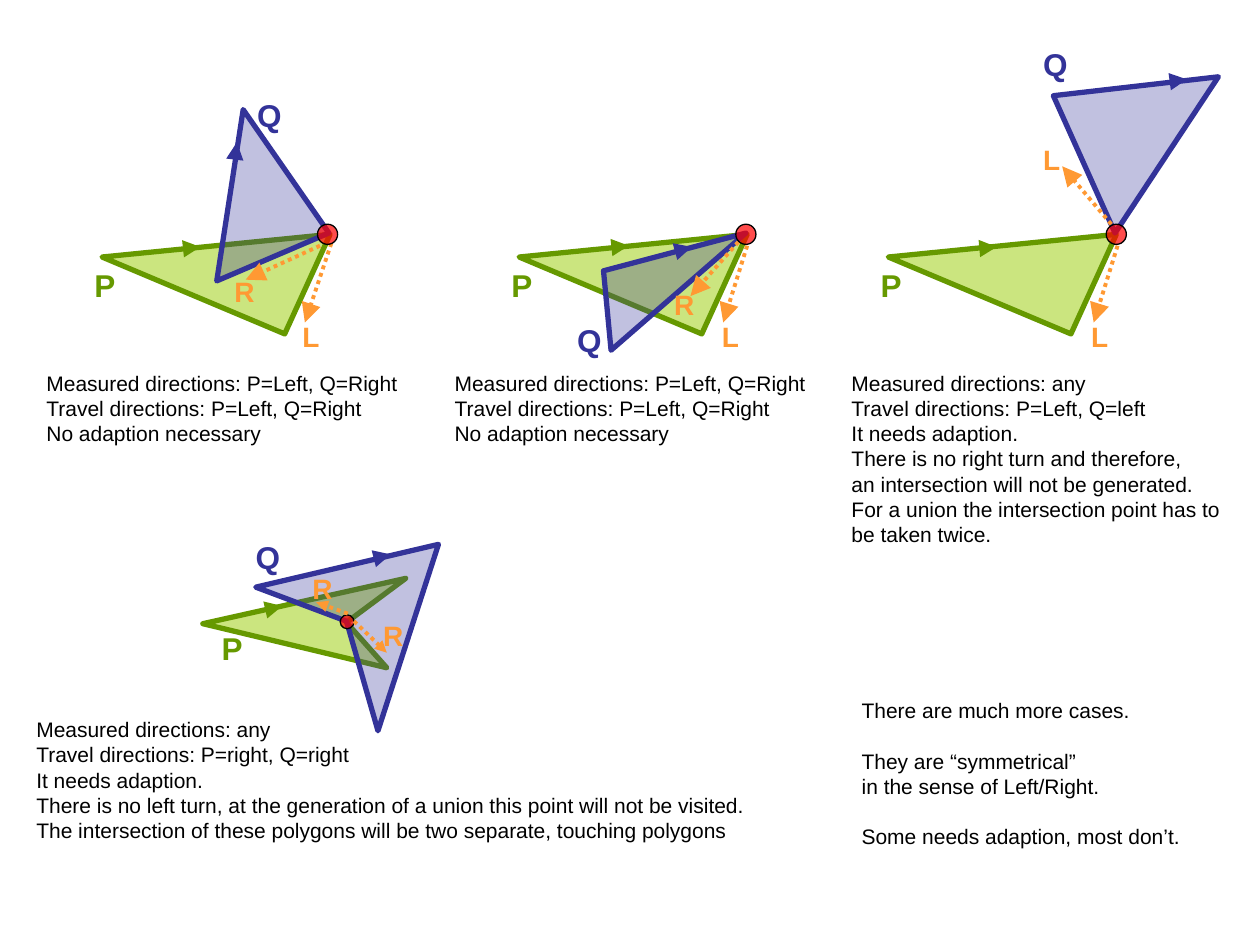
from lxml import etree
from pptx import Presentation
from pptx.dml.color import RGBColor
from pptx.enum.dml import MSO_LINE
from pptx.enum.shapes import MSO_CONNECTOR, MSO_SHAPE
from pptx.enum.text import MSO_AUTO_SIZE
from pptx.oxml.ns import qn
from pptx.util import Pt

PX = 9144  # 100 px to the inch
STRAIGHT = MSO_CONNECTOR.STRAIGHT
OVAL = MSO_SHAPE.OVAL
DOTS = MSO_LINE.ROUND_DOT
GROW = MSO_AUTO_SIZE.SHAPE_TO_FIT_TEXT

GREEN, LIME, BLUE = "669900", "99CC00", "333399"
AMBER, RED, BLACK = "FF9933", "FF0000", "000000"


def color(code):
    return RGBColor.from_string(code)


def write(frame, text, size=12, ink=BLACK, bold=False, gap=0):
    """One paragraph per line; an empty line becomes space before the next."""
    space = 0
    para = None
    for line in text.split("\n"):
        if not line:
            space = gap
            continue
        para = frame.add_paragraph() if para else frame.paragraphs[0]
        para.text = line
        font = para.font
        font.name, font.size, font.bold = "Arial", Pt(size), bold
        font.color.rgb = color(ink)
        if space:
            para.space_before = Pt(space)
        space = 0


class Board:
    def __init__(self, slide):
        self.shapes = slide.shapes

    def paint(self, shape, fill, alpha, ink, width):
        shape.shadow.inherit = False
        shape.fill.solid()
        shape.fill.fore_color.rgb = color(fill)
        tone = shape.fill._xPr.find(".//" + qn("a:srgbClr"))
        etree.SubElement(tone, qn("a:alpha")).set("val", str(alpha * 1000))
        shape.line.color.rgb = color(ink)
        shape.line.width = Pt(width)

    def shape(self, points, fill, alpha, ink):
        form = self.shapes.build_freeform(*points[0], scale=PX)
        form.add_line_segments(points[1:], close=True)
        poly = form.convert_to_shape()
        self.paint(poly, fill, alpha, ink, 3)
        etree.SubElement(poly.line._get_or_add_ln(), qn("a:round"))

    def dot(self, x, y, size):
        oval = self.shapes.add_shape(OVAL, x * PX, y * PX, size * PX, size * PX)
        self.paint(oval, RED, 70, BLACK, 0.75)

    def arrow(self, ends, ink, width=1, dash=None, head="lg"):
        line = self.shapes.add_connector(STRAIGHT, *(v * PX for v in ends))
        line.line.color.rgb = color(ink)
        line.line.width = Pt(width)
        if dash:
            line.line.dash_style = dash
        tip = etree.SubElement(line.line._get_or_add_ln(), qn("a:tailEnd"))
        for key, val in (("type", "triangle"), ("w", head), ("len", head)):
            tip.set(key, val)
        etree.SubElement(line._element.spPr, qn("a:effectLst"))

    def turn(self, ends, head="lg"):
        self.arrow(ends, AMBER, 2.25, DOTS, head)

    def text(self, x, y, wide, high, text, pad=True, **style):
        box = self.shapes.add_textbox(x * PX, y * PX, wide * PX, high * PX)
        frame = box.text_frame
        frame.word_wrap = False
        frame.auto_size = GROW
        if not pad:
            frame.margin_left = frame.margin_right = 0
            frame.margin_top = frame.margin_bottom = 0
        write(frame, text, **style)

    def label(self, char, x, y):
        wide, high, size, ink = LABELS[char]
        self.text(x, y, wide, high, char, pad=False, size=size, ink=ink, bold=True)


LABELS = {
    "P": (17, 30, 18, GREEN),
    "Q": (20, 30, 18, BLUE),
    "R": (16, 27, 16, AMBER),
    "L": (14, 27, 16, AMBER),
}

# Top row: touch point, Q outline, travel arrows, Q label, turn labels, turns
CASES = [
    dict(tip=262, q=[(261, 185), (172, 223), (193, 87)],
         go_p=(93, 203, 159, 196), go_q=(181, 172, 188, 113),
         names=[("Q", 204, 76), ("R", 186, 218), ("L", 240, 254)],
         turns=[(263, 193, 242, 256), (254, 195, 195, 222)], dot=252),
    dict(tip=593, q=[(592, 185), (485, 278), (479, 215)],
         go_p=(434, 202, 499, 195), go_q=(488, 213, 549, 196),
         names=[("Q", 458, 255), ("R", 535, 228), ("L", 573, 254)],
         turns=[(593, 195, 574, 256), (586, 192, 548, 235)], dot=584),
    dict(tip=886, q=[(885, 185), (836, 76), (967, 61)],
         go_p=(725, 202, 791, 196), go_q=(868, 73, 942, 63),
         names=[("Q", 828, 36), ("L", 828, 113), ("L", 866, 254)],
         turns=[(887, 195, 868, 256), (882, 178, 843, 132)], dot=878),
]

SAME = """Measured directions: P=Left, Q=Right
Travel directions: P=Left, Q=Right
No adaption necessary"""
NOTES = [
    (27, 289, 299, 70, SAME),
    (351, 289, 299, 70, SAME),
    (666, 289, 313, 150, """Measured directions: any
Travel directions: P=Left, Q=left
It needs adaption.
There is no right turn and therefore,
an intersection will not be generated.
For a union the intersection point has to
be taken twice."""),
    (19, 564, 587, 110, """Measured directions: any
Travel directions: P=right, Q=right
It needs adaption.
There is no left turn, at the generation of a union this point will not be visited.
The intersection of these polygons will be two separate, touching polygons"""),
    (674, 549, 273, 130, """There are much more cases.

They are “symmetrical”
in the sense of Left/Right.

Some needs adaption, most don’t."""),
]


def main():
    deck = Presentation()
    deck.slide_width, deck.slide_height = 1000 * PX, 750 * PX
    board = Board(deck.slides.add_slide(deck.slide_layouts[6]))

    # Three cases where P and Q touch at a tip
    for case in CASES:
        tip = case["tip"]
        board.shape([(tip, 186), (tip - 36, 265), (tip - 181, 204)], LIME, 50, GREEN)
        board.shape(case["q"], BLUE, 30, BLUE)
        board.arrow(case["go_p"], GREEN)
        board.arrow(case["go_q"], BLUE)
        board.label("P", tip - 187, 211)
        for name in case["names"]:
            board.label(*name)
        for ends in case["turns"]:
            board.turn(ends)
        board.dot(case["dot"], 178, 16)

    # Fourth case: two notched outlines
    board.shape([(322, 459), (275, 494), (307, 530), (161, 495)], LIME, 50, GREEN)
    board.shape([(300, 580), (275, 493), (203, 466), (348, 432)], BLUE, 30, BLUE)
    board.arrow((232, 460, 310, 440), BLUE)
    board.arrow((176, 492, 224, 481), GREEN)
    board.dot(270, 488, 11)
    for name in (("P", 176, 499), ("Q", 203, 427), ("R", 248, 454), ("R", 304, 491)):
        board.label(*name)
    for ends in ((276, 487, 251, 478), (281, 493, 307, 518)):
        board.turn(ends, head="med")

    # Explanations
    for note in NOTES:
        board.text(*note, gap=14.4)

    deck.save("out.pptx")


if __name__ == "__main__":
    main()
